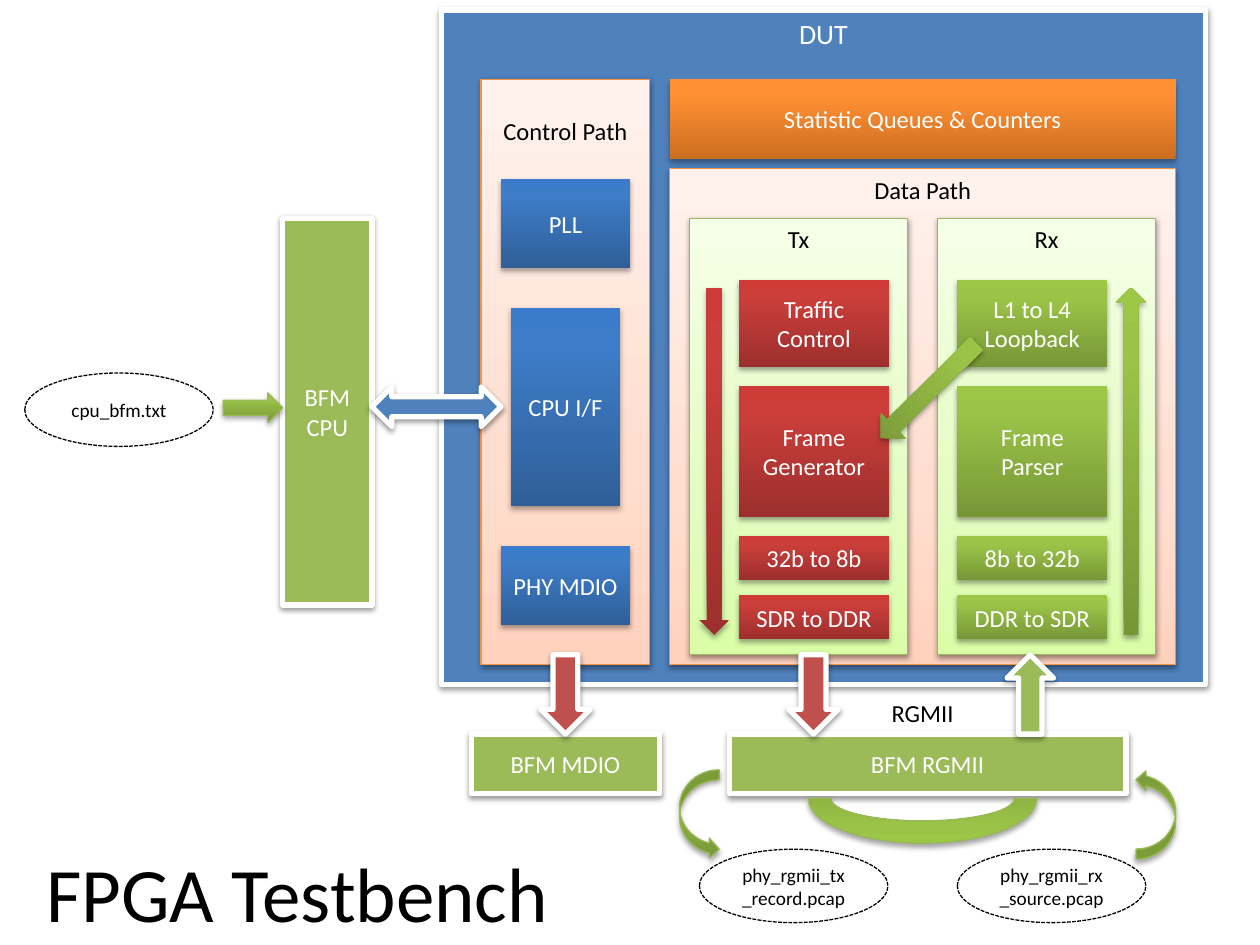
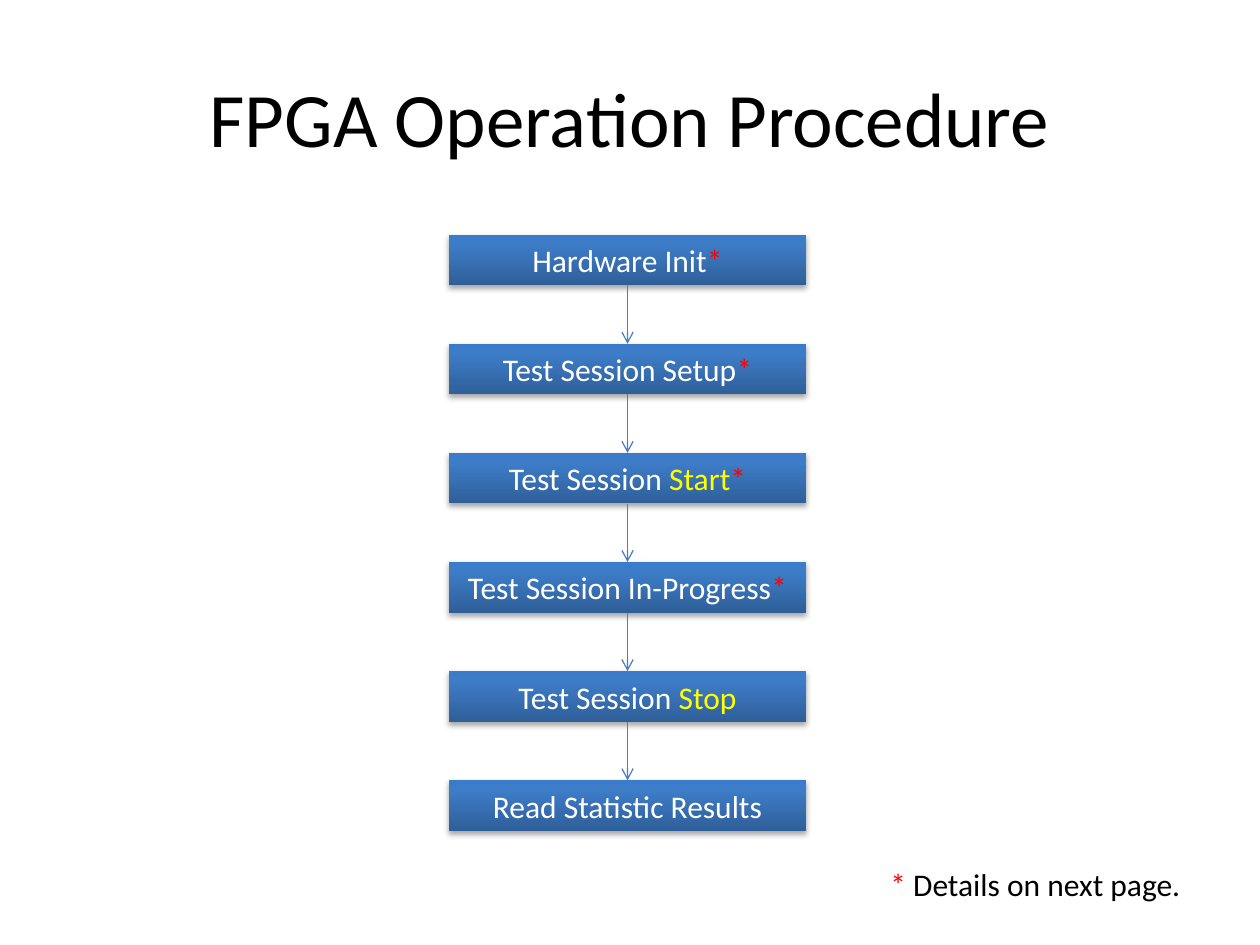
from copy import deepcopy
from collections import namedtuple
from lxml import etree
from pptx import Presentation
from pptx.dml.color import RGBColor
from pptx.enum.dml import MSO_LINE
from pptx.enum.shapes import MSO_CONNECTOR, MSO_SHAPE
from pptx.enum.text import MSO_ANCHOR, PP_ALIGN
from pptx.oxml.ns import qn
from pptx.util import Inches, Mm, Pt

RECT, OVAL, ARC = MSO_SHAPE.RECTANGLE, MSO_SHAPE.OVAL, MSO_SHAPE.BLOCK_ARC
DOWN, UP, RIGHT = MSO_SHAPE.DOWN_ARROW, MSO_SHAPE.UP_ARROW, MSO_SHAPE.RIGHT_ARROW
BOTH, CURVE = MSO_SHAPE.LEFT_RIGHT_ARROW, MSO_SHAPE.CURVED_LEFT_ARROW
TOP, MIDDLE = MSO_ANCHOR.TOP, MSO_ANCHOR.MIDDLE
LEFT, CENTER = PP_ALIGN.LEFT, PP_ALIGN.CENTER

FONT = "Calibri"
BLACK, WHITE, MARK, KEY = "000000", "FFFFFF", "FF0000", "FFFF00"
EDGE = "98B955"
STAR = ("*", MARK)

# A look: fill stops from bottom to top, their places, edge, text, shadow
Look = namedtuple("Look", "stops places edge weight ink shade")
FLAT_SHADE, BOLD_SHADE = (38, 1.6), (35, 1.8)


def flat(color):
    return Look([color], None, WHITE, 3, WHITE, FLAT_SHADE)


def pale(edge, *stops):
    return Look(stops, (0, 0.35, 1), edge, 0.75, BLACK, FLAT_SHADE)


def bold(*stops):
    return Look(stops, (0, 0.8, 1), None, 0, WHITE, BOLD_SHADE)


BLUE, GREEN, RED = flat("4F81BD"), flat("9BBB59"), flat("C0504D")
PEACH = pale("F69240", "FFD2BD", "FFDED0", "FFF2ED")
LIME = pale(EDGE, "DAFDA7", "E4FCC2", "F5FFE7")
NAVY = bold("2F5F99", "3D7CC7", "3A7CCB")
BRICK = bold("9C2F2D", "CB3E3A", "CE3B37")
LEAF = bold("779737", "9BC348", "9DC746")
AMBER = bold("CC6E20", "FF9034", "FF9136")
LINED = LEAF._replace(edge=EDGE, weight=0.75)
FILE = Look([WHITE], None, BLACK, 0.75, BLACK, None)


def rgb(code):
    return RGBColor.from_string(code)


def grid(*cells):
    """Turn cells of a 2 mm grid into lengths."""
    return [Mm(2 * cell) for cell in cells]


def paint(shape, look):
    fill = shape.fill
    if look.places:
        fill.gradient()
        fill.gradient_angle = 90
        stops = shape._element.spPr.find(".//" + qn("a:gsLst"))
        stops.append(deepcopy(stops[0]))
        for stop, code, place in zip(fill.gradient_stops, look.stops, look.places):
            stop.color.rgb = rgb(code)
            stop.position = place
    else:
        fill.solid()
        fill.fore_color.rgb = rgb(look.stops[0])
    if look.edge:
        shape.line.color.rgb = rgb(look.edge)
        shape.line.width = Pt(look.weight)
    else:
        shape.line.fill.background()
    shape.shadow.inherit = False
    if look.shade:
        cast(shape, *look.shade)


def cast(shape, share, drop):
    """Drop a soft black shadow straight down."""
    effects = shape._element.spPr.find(qn("a:effectLst"))
    outer = etree.SubElement(effects, qn("a:outerShdw"), blurRad=str(Pt(3.1)),
                             dist=str(Pt(drop)), dir="5400000", rotWithShape="0")
    color = etree.SubElement(outer, qn("a:srgbClr"), val=BLACK)
    etree.SubElement(color, qn("a:alpha"), val=str(share * 1000))


def write(shape, text, size, ink, anchor=MIDDLE, align=CENTER):
    """Text is a string, or a list of (text, colour) runs."""
    frame = shape.text_frame
    frame.word_wrap = True
    frame.vertical_anchor = anchor
    para = frame.paragraphs[0]
    para.alignment = align
    para.font.name = FONT
    para.font.size = Pt(size)
    para.font.color.rgb = rgb(ink)
    for part, color in [(text, ink)] if isinstance(text, str) else text:
        run = para.add_run()
        run.text = part
        if color != ink:
            run.font.color.rgb = rgb(color)


def block(slide, look, cells, text="", size=14, anchor=MIDDLE, kind=RECT):
    shape = slide.shapes.add_shape(kind, *grid(*cells))
    paint(shape, look)
    if text:
        write(shape, text, size, look.ink, anchor)
    return shape


def arrow(slide, kind, look, cells, turn=0, flip=None):
    shape = block(slide, look, cells, kind=kind)
    shape.rotation = turn
    if flip:
        shape._element.spPr.find(qn("a:xfrm")).set(flip, "1")


def label(slide, cells, text, size, anchor=TOP, align=CENTER):
    box = slide.shapes.add_textbox(*grid(*cells))
    write(box, text, size, BLACK, anchor, align)


def link(slide, col, start, end):
    x, top, low = grid(col, start, end)
    line = slide.shapes.add_connector(MSO_CONNECTOR.STRAIGHT, x, top, x, low)
    line.line.color.rgb = rgb("4B7EBC")
    line.line.width = Pt(0.75)
    props = line._element.spPr
    etree.SubElement(props.find(qn("a:ln")), qn("a:tailEnd"), type="arrow")
    etree.SubElement(props, qn("a:effectLst"))


def lane(slide, col, name, inner, look, steps):
    """One direction of the data path, with its stack of steps."""
    block(slide, LIME, (col, 22, 22, 44), name, anchor=TOP)
    rows = [(28.2, 8.8), (38.9, 13.2), (54, 4.45), (60, 4.45)]
    for step, (row, high) in zip(steps, rows):
        block(slide, look, (inner, row, 15.1, high), step)


def bench(slide):
    # Device under test
    block(slide, BLUE, (44.5, 1, 77, 68), "DUT", 16, TOP)
    block(slide, AMBER, (67.5, 8, 51, 8), "Statistic Queues & Counters")

    # Data path
    block(slide, PEACH, (67.5, 17, 51, 50), "Data Path", anchor=TOP)
    lane(slide, 69.5, "Tx", 74.5, BRICK,
         ["Traffic Control", "Frame Generator", "32b to 8b", "SDR to DDR"])
    lane(slide, 94.5, "Rx", 96.5, LEAF,
         ["L1 to L4 Loopback", "Frame Parser", "8b to 32b", "DDR to SDR"])
    arrow(slide, DOWN, BRICK, (70.5, 29, 3, 35))
    arrow(slide, UP, LEAF, (112.5, 29, 3, 35))
    arrow(slide, DOWN, LEAF, (91.8, 32.6, 3.6, 13.6), turn=45.4)

    # Control path
    panel = block(slide, PEACH, (48.5, 8, 17, 59), "Control Path", anchor=TOP)
    panel.text_frame.margin_top = Inches(0.29)
    for text, cells in [("PLL", (50.5, 18, 13, 9)),
                        ("CPU I/F", (51.5, 31, 11, 20)),
                        ("PHY MDIO", (50.5, 55, 13, 8))]:
        frame = block(slide, NAVY, cells, text).text_frame
        frame.margin_left = frame.margin_right = Inches(0.05)

    # Bus models around the device
    for text, cells in [("BFM CPU", (28.5, 22, 9, 39)),
                        ("BFM MDIO", (47.5, 74, 19, 6)),
                        ("BFM RGMII", (73.5, 74, 40, 6))]:
        block(slide, GREEN, cells, text)
    label(slide, (87.5, 69.7, 11, 4.3), "RGMII", 14)
    for col in (54.5, 79.5):
        arrow(slide, DOWN, RED, (col, 66, 5, 8))
    arrow(slide, UP, GREEN, (101.5, 66, 4.7, 8))
    arrow(slide, BOTH, BLUE, (37.5, 39, 13, 4))

    # Files and their flows
    for text, col, row in [("cpu_bfm.txt", 2.5, 37.6),
                           ("phy_rgmii_tx_record.pcap", 70.5, 85.6),
                           ("phy_rgmii_rx_source.pcap", 96.5, 85.6)]:
        oval = block(slide, FILE, (col, row, 19, 7.4), text, 11, kind=OVAL)
        oval.line.dash_style = MSO_LINE.SQUARE_DOT
    arrow(slide, RIGHT, LINED, (22.5, 39.6, 6, 3))
    arrow(slide, ARC, LINED, (81.5, 76, 23, 9), flip="flipV")
    arrow(slide, CURVE, LINED, (68.5, 77.6, 4, 9), flip="flipH")
    arrow(slide, CURVE, LINED, (114.5, 77.6, 4, 9), flip="flipV")

    label(slide, (-5.5, 84.6, 71, 10.7), "FPGA Testbench", 44)


def steps(slide):
    label(slide, (6.35, 3.8, 114.3, 15.9), "FPGA Operation Procedure", 44, MIDDLE)

    # Chain of steps at one pitch
    chain = [
        [("Hardware Init", WHITE), STAR],
        [("Test Session Setup", WHITE), STAR],
        [("Test Session ", WHITE), ("Start", KEY), STAR],
        [("Test Session In-Progress", WHITE), STAR],
        [("Test Session ", WHITE), ("Stop", KEY)],
        [("Read Statistic Results", WHITE)],
    ]
    left, first, pitch, wide, high = 45.25, 23.65, 11, 36, 5.1
    for i, runs in enumerate(chain):
        row = first + i * pitch
        block(slide, NAVY, (left, row, wide, high), runs, 18)
        if i:
            link(slide, left + wide / 2, row - pitch + high, row)

    label(slide, (88.5, 86.6, 33, 5.1),
          [STAR, (" Details on next page.", BLACK)], 18, align=LEFT)


def main():
    deck = Presentation()
    deck.slide_width, deck.slide_height = Inches(10), Inches(7.5)
    blank = deck.slide_layouts[6]
    for build in (bench, steps):
        build(deck.slides.add_slide(blank))
    deck.save("out.pptx")


if __name__ == "__main__":
    main()
